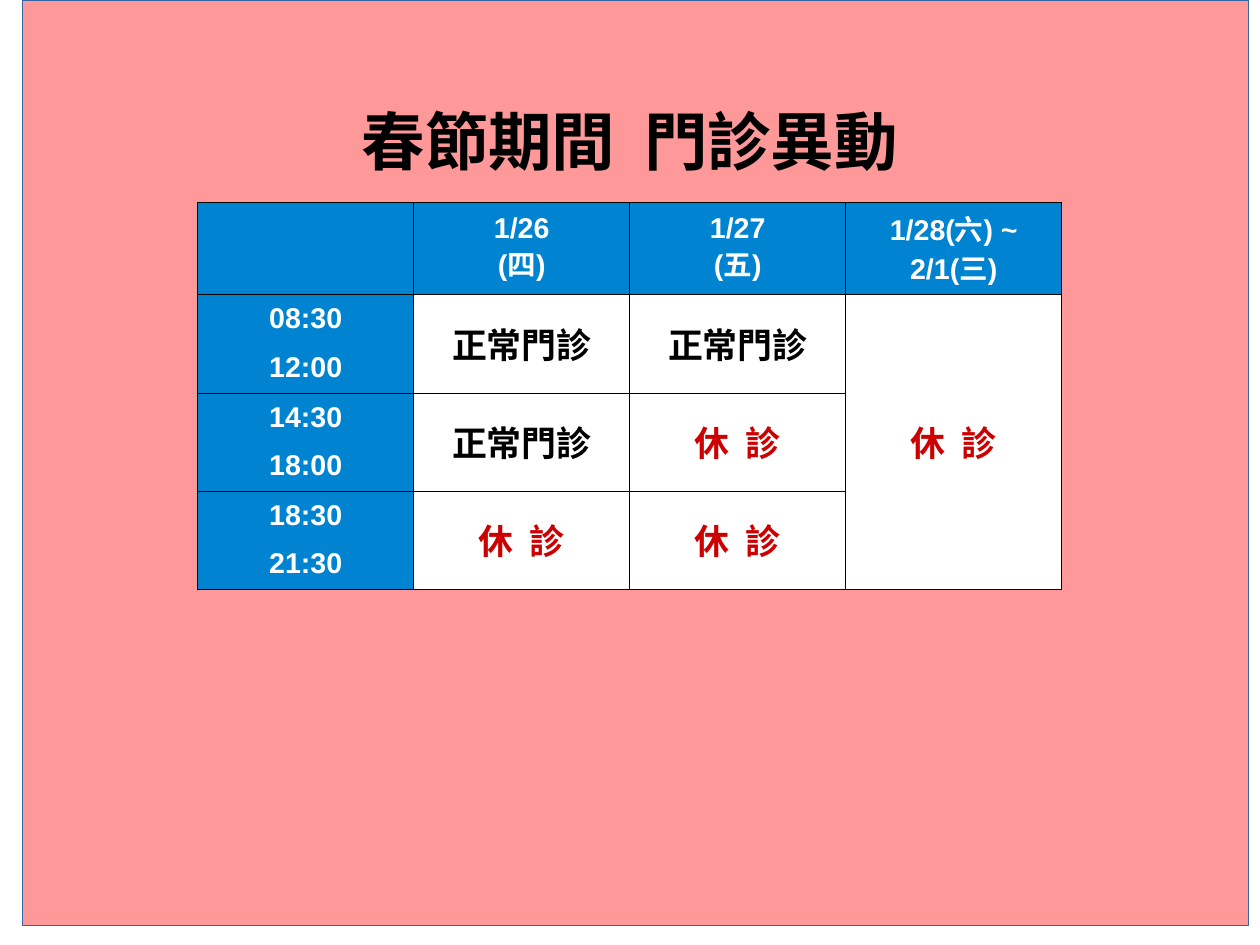
"""Build the clinic schedule slide for the Spring Festival period."""
from lxml.etree import SubElement
from pptx import Presentation
from pptx.dml.color import RGBColor
from pptx.enum.shapes import MSO_SHAPE
from pptx.enum.text import MSO_ANCHOR, PP_ALIGN
from pptx.oxml.ns import qn
from pptx.util import Inches, Pt

PINK, BLUE, WHITE, BLACK, RED = "FF9999", "0084D1", "FFFFFF", "000000", "CC0000"
CM_PER_INCH = 2.54
LEFT, WIDTH = Inches(1.73), Inches(7.56)
OPEN, CLOSED = "正常門診", "休  診"
SCHEDULE = [
    ["", "1/26\n(四)", "1/27\n(五)", "1/28(六) ~\n2/1(三)"],
    ["08:30\n12:00", OPEN, OPEN, CLOSED],
    ["14:30\n18:00", OPEN, CLOSED, ""],
    ["18:30\n21:30", CLOSED, CLOSED, ""],
]


def color(value):
    return RGBColor.from_string(value)


def write(text_frame, text, font_name, size, font_color, line_spacing, gap=0):
    text_frame.text = text
    paragraph_format = {"alignment": PP_ALIGN.CENTER, "line_spacing": line_spacing,
                        "space_before": Pt(gap), "space_after": Pt(gap)}
    font_format = {"name": font_name, "size": Pt(size), "bold": True}
    for paragraph in text_frame.paragraphs:
        for name, value in paragraph_format.items():
            setattr(paragraph, name, value)
        for run in paragraph.runs:
            for name, value in font_format.items():
                setattr(run.font, name, value)
            run.font.color.rgb = color(font_color)


presentation = Presentation()
presentation.slide_width = Inches(28 / CM_PER_INCH)
presentation.slide_height = Inches(21 / CM_PER_INCH)
slide = presentation.slides.add_slide(presentation.slide_layouts[6])

backdrop = slide.shapes.add_shape(MSO_SHAPE.RECTANGLE, Inches(0.2), 0, Inches(10.72), Inches(8.1))
backdrop.shadow.inherit = False
backdrop.fill.solid()
backdrop.fill.fore_color.rgb = color(PINK)
backdrop.line.color.rgb = color("3465A4")
backdrop.line.width = Pt(0)

title = slide.shapes.add_textbox(LEFT, Inches(0.75), WIDTH, Inches(0.99)).text_frame
title_format = {"word_wrap": True, "vertical_anchor": MSO_ANCHOR.MIDDLE, "margin_left": 0,
                "margin_top": Inches(0.04), "margin_right": 0, "margin_bottom": 0}
for name, value in title_format.items():
    setattr(title, name, value)
write(title, "春節期間  門診異動", "Calibri", 40, BLACK, 0.93)

table = slide.shapes.add_table(4, 4, LEFT, Inches(1.77), WIDTH, Inches(3.39)).table
for row_index, row in enumerate(table.rows):
    row.height = Inches(0.86 if row_index else 0.81)
for column in table.columns:
    column.width = Inches(1.89)

for row_index, row_texts in enumerate(SCHEDULE):
    for column_index, text in enumerate(row_texts):
        cell = table.cell(row_index, column_index)
        cell.vertical_anchor = MSO_ANCHOR.MIDDLE
        is_heading = row_index == 0 or column_index == 0
        if is_heading:
            write(cell.text_frame, text, "Arial", 18, WHITE, 0.94, 5.7 if row_index else 0)
        else:
            gap = 5.7 if text == OPEN else 0
            write(cell.text_frame, text, "Calibri", 22, RED if text == CLOSED else BLACK, 0.93, gap)
        properties = cell._tc.get_or_add_tcPr()
        for side in ("a:lnL", "a:lnR", "a:lnT", "a:lnB"):
            border = SubElement(properties, qn(side), w=str(Pt(0.68)))
            SubElement(SubElement(border, qn("a:solidFill")), qn("a:srgbClr"), val=BLACK)
        cell.fill.solid()
        cell.fill.fore_color.rgb = color(BLUE if is_heading else WHITE)
table.cell(1, 3).merge(table.cell(3, 3))

presentation.save("out.pptx")
